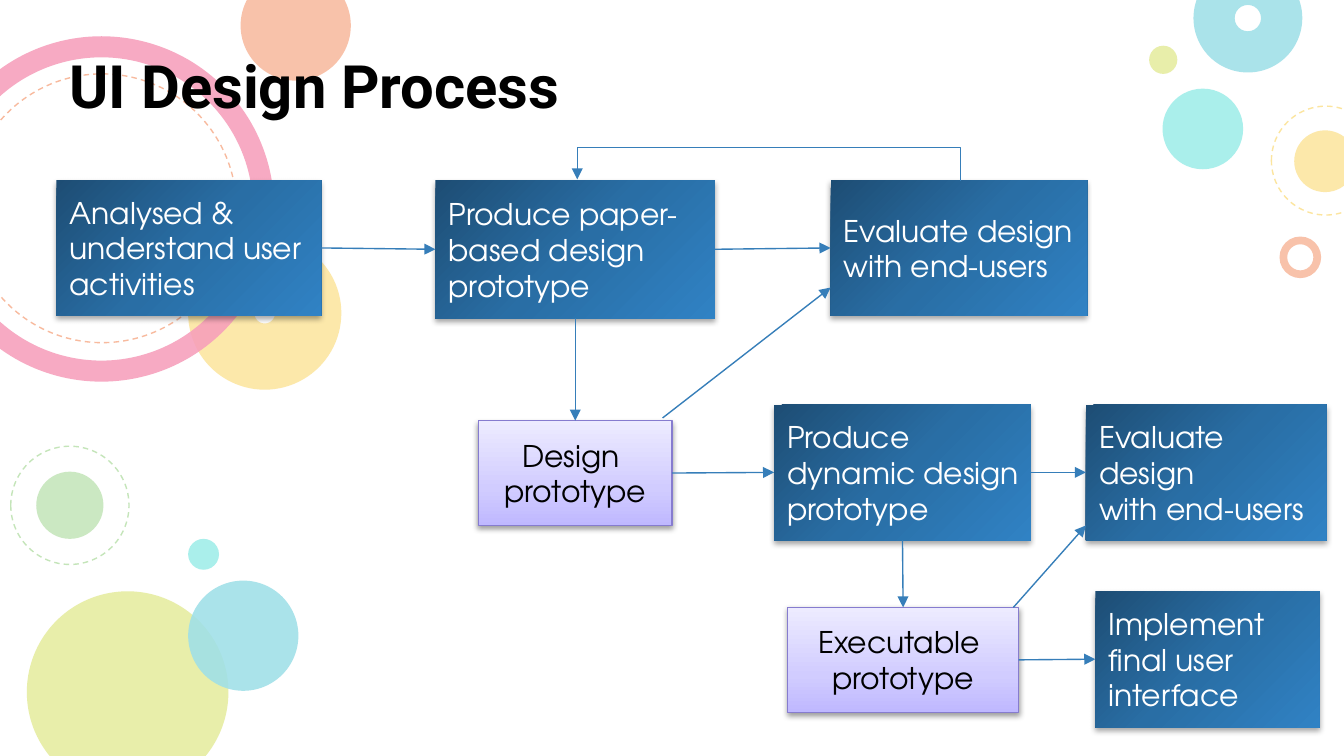
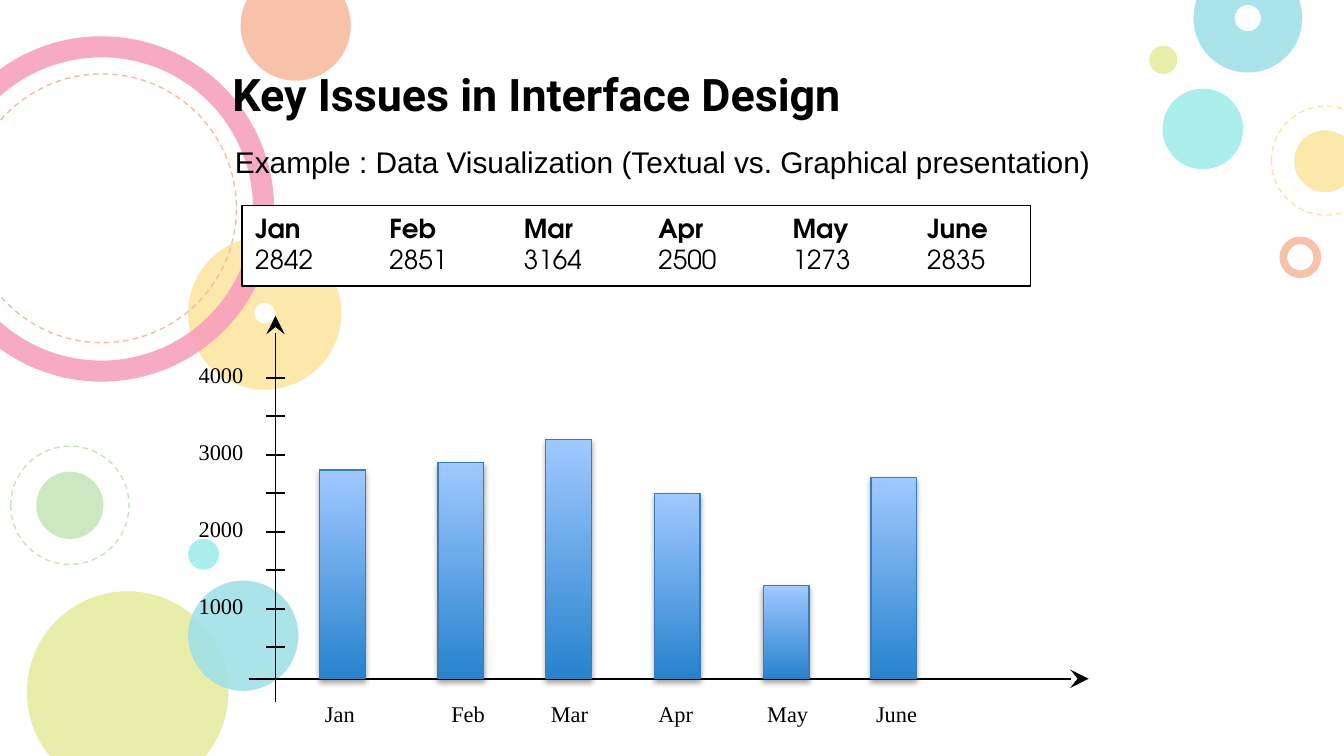
from lxml import etree
from pptx import Presentation
from pptx.dml.color import RGBColor
from pptx.enum.dml import MSO_LINE
from pptx.enum.shapes import MSO_CONNECTOR, MSO_SHAPE
from pptx.enum.text import MSO_ANCHOR, MSO_AUTO_SIZE, PP_ALIGN
from pptx.oxml import parse_xml
from pptx.oxml.ns import nsdecls, qn
from pptx.util import Inches, Pt

COLORS = {
    "black": "000000", "white": "FFFFFF", "frame": "2B5F8A",
    "aqua": "00D1C6", "lime": "BBCD00", "green": "65BB48", "amber": "F8BB00",
    "orange": "ED4A00", "pink": "E8004C", "cyan": "00ACC3",
    "arrow": "367EB9", "violet": "867CCF",
    "step_dark": "1D4D74", "step_mid": "296EA5", "step_light": "3082C4",
    "result_low": "BFB8FF", "result_mid": "D1CCFF", "result_high": "EDEBFF",
    "bar_low": "2783CD", "bar_high": "A0C8FF",
}
STEP_GRADIENT = [(0, "step_dark"), (50, "step_mid"), (100, "step_light")], 45
RESULT_GRADIENT = [(0, "result_low"), (35, "result_mid"), (100, "result_high")], 270
BAR_GRADIENT = [(0, "bar_low"), (100, "bar_high")], 270
TITLE_FONT, BODY_FONT = "Roboto", "TeX Gyre Adventor"
SUBTITLE_FONT, AXIS_FONT = "Arial", "Times New Roman"
TOP, LEFT, BOTTOM, RIGHT = range(4)

# outline kind, left, top, diameter, colour, ring thickness
BUBBLES = [
    ("disc", 1.4, 4.01, 0.23, "aqua", 0),
    ("disc", 0.2, 4.4, 1.5, "lime", 0),
    ("disc", 0.27, 3.51, 0.5, "green", 0),
    ("dashes", 0.08, 3.32, 0.88, "green", 0),
    ("ring", 1.4, 1.76, 1.14, "amber", 0.432),
    ("disc", 1.79, -0.22, 0.82, "orange", 0),
    ("ring", -0.53, 0.27, 2.57, "pink", 0.061),
    ("dashes", -0.24, 0.55, 2, "orange", 0),
    ("disc", 1.4, 4.32, 0.82, "cyan", 0),
    ("disc", 8.65, 0.66, 0.6, "aqua", 0),
    ("ring", 9.52, 1.76, 0.31, "orange", 0.186),
    ("disc", 9.63, 0.97, 0.46, "amber", 0),
    ("ring", 8.88, -0.27, 0.81, "cyan", 0.379),
    ("disc", 8.55, 0.34, 0.21, "lime", 0),
    ("dashes", 9.46, 0.79, 0.81, "amber", 0),
]

# month, exact value, value drawn, bar left, label left
SALES = [
    ("Jan", 2842, 2800, 2.38, 2.32),
    ("Feb", 2851, 2900, 3.26, 3.26),
    ("Mar", 3164, 3200, 4.06, 4.0),
    ("Apr", 2500, 2500, 4.87, 4.8),
    ("May", 1273, 1300, 5.68, 5.61),
    ("June", 2835, 2700, 6.48, 6.42),
]
BASELINE = 5.05


def rgb(name):
    return RGBColor.from_string(COLORS[name])


def add_outline(slide, preset, left, top, width, height, fill=None, alpha=100,
                line=None, weight=0.75):
    shape = slide.shapes.add_shape(preset, Inches(left), Inches(top),
                                   Inches(width), Inches(height))
    shape.shadow.inherit = False
    if fill:
        shape.fill.solid()
        shape.fill.fore_color.rgb = rgb(fill)
        if alpha < 100:
            color = shape.fill._xPr.find(qn("a:solidFill"))[0]
            etree.SubElement(color, qn("a:alpha"), val=str(alpha * 1000))
    else:
        shape.fill.background()
    if line:
        shape.line.color.rgb = rgb(line)
        shape.line.width = Pt(weight)
    else:
        shape.line.fill.background()
    return shape


def add_raised_box(slide, left, top, width, height, gradient, line=None,
                   shadow_alpha=35, shadow_distance=1.8):
    """Rectangle with a gradient fill and a soft shadow below it."""
    box = add_outline(slide, MSO_SHAPE.RECTANGLE, left, top, width, height, line=line)
    stops, angle = gradient
    stop_xml = "".join(
        f'<a:gs pos="{position * 1000}"><a:srgbClr val="{COLORS[name]}"/></a:gs>'
        for position, name in stops)
    properties = box._element.spPr
    properties.replace(properties.find(qn("a:noFill")), parse_xml(
        f'<a:gradFill {nsdecls("a")} rotWithShape="1"><a:gsLst>{stop_xml}</a:gsLst>'
        f'<a:lin ang="{angle * 60000}" scaled="0"/></a:gradFill>'))
    properties.find(qn("a:effectLst")).append(parse_xml(
        f'<a:outerShdw {nsdecls("a")} blurRad="{Pt(3.1)}" dist="{Pt(shadow_distance)}" '
        f'dir="5400000" rotWithShape="0"><a:srgbClr val="{COLORS["black"]}">'
        f'<a:alpha val="{shadow_alpha * 1000}"/></a:srgbClr></a:outerShdw>'))
    return box


def write(shape, text, font, size, color="black", bold=False,
          align=PP_ALIGN.LEFT, anchor=MSO_ANCHOR.TOP, wrap=True):
    frame = shape.text_frame
    frame.text = text
    frame.word_wrap = wrap
    frame.vertical_anchor = anchor
    for paragraph in frame.paragraphs:
        paragraph.alignment = align
        for run in paragraph.runs:
            run.font.name = font
            run.font.size = Pt(size)
            run.font.bold = bold
            run.font.color.rgb = rgb(color)
    return frame


def add_label(slide, text, left, top, width, height, font, size):
    label = slide.shapes.add_textbox(Inches(left), Inches(top),
                                     Inches(width), Inches(height))
    write(label, text, font, size).auto_size = MSO_AUTO_SIZE.SHAPE_TO_FIT_TEXT


def add_title(slide, text, left, width, size):
    title = slide.shapes.add_textbox(Inches(left), Inches(0.3), Inches(width), Inches(0.7))
    frame = write(title, text, TITLE_FONT, size, bold=True, anchor=MSO_ANCHOR.BOTTOM)
    frame.margin_top = frame.margin_bottom = Inches(0.1)


def add_step(slide, text, left, top, width, height=1.01, wrap=True):
    step = add_raised_box(slide, left, top, width, height, STEP_GRADIENT)
    write(step, text, BODY_FONT, 16, "white", anchor=MSO_ANCHOR.MIDDLE, wrap=wrap)
    return step


def add_result(slide, text, left, top, width):
    result = add_raised_box(slide, left, top, width, 0.78, RESULT_GRADIENT, "violet", 38, 1.6)
    write(result, text, BODY_FONT, 16, align=PP_ALIGN.CENTER,
          anchor=MSO_ANCHOR.MIDDLE, wrap=False)
    return result


def add_line(slide, start, end, color="arrow", weight=0.75, head="triangle",
             head_size="med", route=MSO_CONNECTOR.STRAIGHT):
    line = slide.shapes.add_connector(route, *(Inches(n) for n in (*start, *end)))
    line.line.color.rgb = rgb(color)
    line.line.width = Pt(weight)
    if head:
        etree.SubElement(line.line._get_or_add_ln(), qn("a:tailEnd"),
                         type=head, w=head_size, len=head_size)
    etree.SubElement(line._element.spPr, qn("a:effectLst"))
    return line


def join(slide, source, source_side, target, target_side):
    arrow = add_line(slide, (0, 0), (1, 1))
    arrow.begin_connect(source, source_side)
    arrow.end_connect(target, target_side)


def add_return_arrow(slide, start_x, end_x, box_top, rise):
    """Elbow arrow that leaves one box top and comes back down on another.

    The elbow is a thin upright connector, turned by 270 degrees.
    """
    thickness = 0.01
    middle, half = (start_x + end_x) / 2, (start_x - end_x) / 2
    arrow = add_line(slide, (middle, box_top - half),
                     (middle + thickness, box_top + half), route=MSO_CONNECTOR.ELBOW)
    properties = arrow._element.spPr
    transform = properties.find(qn("a:xfrm"))
    transform.set("rot", str(270 * 60000))
    transform.set("flipV", "1")
    guides = properties.find(qn("a:prstGeom")).find(qn("a:avLst"))
    etree.SubElement(guides, qn("a:gd"), name="adj1",
                     fmla=f"val {round(rise / thickness * 100000)}")


def decorate_layout(layout, slide):
    """Draw the bubbles and their white veil on a slide, then move them to its layout."""
    for kind, left, top, size, color, thickness in BUBBLES:
        preset = MSO_SHAPE.DONUT if kind == "ring" else MSO_SHAPE.OVAL
        if kind == "dashes":
            bubble = add_outline(slide, preset, left, top, size, size, line=color)
            bubble.line.dash_style = MSO_LINE.DASH
        else:
            bubble = add_outline(slide, preset, left, top, size, size, color, 87)
        if kind == "ring":
            bubble.adjustments[0] = thickness
    add_outline(slide, MSO_SHAPE.RECTANGLE, -0.31, -0.19, 10.72, 6.11,
                "white", 62, "frame", 2)
    for shape in list(slide.shapes):
        layout.shapes.element.append(shape._element)


def fill_process(slide):
    add_title(slide, "UI Design Process", 0.42, 8.56, 32)
    analyse = add_step(slide, "Analysed &\nunderstand user\nactivities", 0.42, 1.34, 1.97)
    evaluate_paper = add_step(slide, "Evaluate design\nwith end-users", 6.18, 1.34, 1.91)
    paper = add_step(slide, "Produce paper-\nbased design\nprototype", 3.24, 1.34, 2.08, 1.03)
    design = add_result(slide, "Design \nprototype", 3.56, 3.13, 1.44)
    dynamic = add_step(slide, "Produce\ndynamic design\nprototype", 5.76, 3.01, 1.91, wrap=False)
    evaluate_dynamic = add_step(slide, "Evaluate design\nwith end-users", 8.08, 3.01, 1.79)
    executable = add_result(slide, "Executable \nprototype", 5.86, 4.52, 1.72)
    implement = add_step(slide, "Implement\nfinal user\ninterface", 8.15, 4.4, 1.67)

    for source, target in [(analyse, paper), (paper, evaluate_paper), (design, dynamic),
                           (dynamic, evaluate_dynamic), (executable, implement)]:
        join(slide, source, RIGHT, target, LEFT)
    for source, target in [(paper, design), (dynamic, executable)]:
        join(slide, source, BOTTOM, target, TOP)
    add_line(slide, (4.93, 3.11), (6.18, 2.14))
    add_line(slide, (7.54, 4.52), (8.08, 3.91))
    add_return_arrow(slide, 7.14, 4.29, 1.34, 0.25)


def value_y(value):
    """Height on the slide of a value on the vertical axis."""
    return 2.81 + (4000 - value) * 1.72 / 3000


def add_sales_graph(slide):
    for start, end in [((2.05, 5.22), (2.05, 2.35)), ((1.85, BASELINE), (8.1, BASELINE))]:
        add_line(slide, start, end, "black", 1, "stealth", "lg")
    for value in range(500, 4001, 500):
        y = value_y(value)
        add_line(slide, (1.98, y), (2.12, y), "black", 1, None)
        if value % 1000 == 0:
            add_label(slide, str(value), 1.38, y - 0.17, 0.6, 0.28, AXIS_FONT, 12)
    for month, _, drawn, bar_left, label_left in SALES:
        top = value_y(drawn)
        add_raised_box(slide, bar_left, top, 0.34, BASELINE - top, BAR_GRADIENT, "arrow")
        add_label(slide, month, label_left, 5.16, 0.54, 0.28, AXIS_FONT, 12)


def add_sales_figures(slide):
    figures = add_outline(slide, MSO_SHAPE.RECTANGLE, 1.8, 1.53, 5.87, 0.6,
                          "white", line="black")
    months = "\t".join(row[0] for row in SALES)
    values = "\t".join(str(row[1]) for row in SALES)
    frame = write(figures, f"{months}\n{values}", BODY_FONT, 14)
    frame.paragraphs[0].runs[0].font.bold = True
    for paragraph in frame.paragraphs:
        properties = paragraph._p.get_or_add_pPr()
        tabs = etree.SubElement(properties, qn("a:tabLst"))
        for column in range(1, len(SALES)):
            etree.SubElement(tabs, qn("a:tab"), pos=str(Inches(column)), algn="l")


def fill_key_issues(slide):
    add_title(slide, "Key Issues in Interface Design", 1.63, 7.35, 24)
    add_sales_figures(slide)
    add_sales_graph(slide)
    add_label(slide, "Example : Data Visualization (Textual vs. Graphical presentation)",
              1.65, 1.02, 7.19, 0.37, SUBTITLE_FONT, 16)


def main():
    deck = Presentation()
    deck.slide_width = Inches(10)
    deck.slide_height = Inches(10 * 9 / 16)
    blank = deck.slide_layouts[6]
    process = deck.slides.add_slide(blank)
    decorate_layout(blank, process)
    fill_process(process)
    fill_key_issues(deck.slides.add_slide(blank))
    deck.save("out.pptx")


if __name__ == "__main__":
    main()
